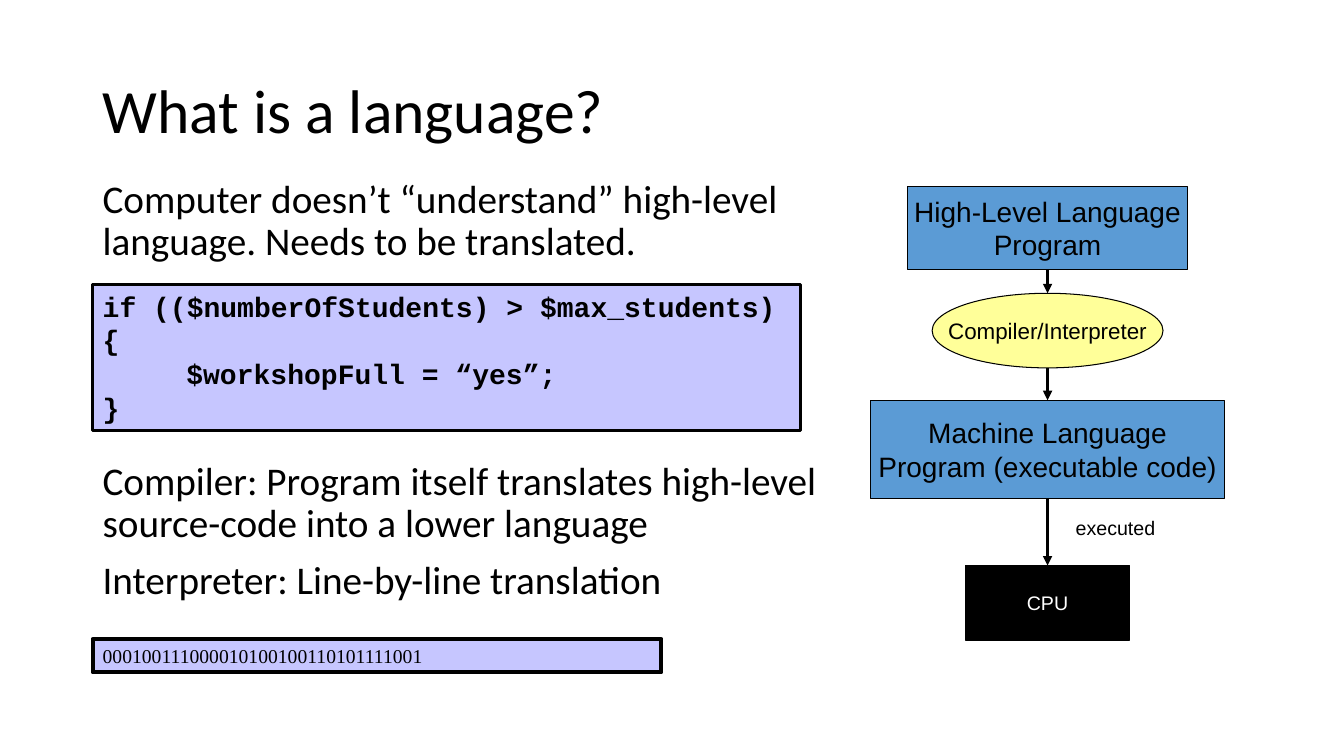
from dataclasses import dataclass

from lxml import etree
from pptx import Presentation
from pptx.dml.color import RGBColor
from pptx.enum.shapes import MSO_CONNECTOR, MSO_SHAPE
from pptx.enum.text import MSO_ANCHOR, MSO_AUTO_SIZE, PP_ALIGN
from pptx.oxml.ns import qn
from pptx.util import Inches, Pt

RECTANGLE, OVAL = MSO_SHAPE.RECTANGLE, MSO_SHAPE.OVAL
STRAIGHT = MSO_CONNECTOR.STRAIGHT
LEFT, CENTER = PP_ALIGN.LEFT, PP_ALIGN.CENTER
TOP, MIDDLE = MSO_ANCHOR.TOP, MSO_ANCHOR.MIDDLE
NO_AUTOFIT = MSO_AUTO_SIZE.NONE
TITLE_ONLY = 5
MARGIN = 0.92
FLOW_CENTER = 10.39


@dataclass(frozen=True)
class Theme:
    """Colours, fonts and type sizes of the slide."""
    black: str = "000000"
    white: str = "FFFFFF"
    blue: str = "5B9BD5"
    yellow: str = "FFFF99"
    lilac: str = "C6C6FF"
    body_font: str = "Calibri"
    flow_font: str = "Arial"
    code_font: str = "Courier New"
    binary_font: str = "Times New Roman"
    title_size: int = 44
    body_size: int = 28
    large_size: int = 20
    medium_size: int = 16
    small_size: int = 14


THEME = Theme()


def write_text(shape, lines, *, font, size, color=THEME.black, bold=False,
               align=LEFT, anchor=TOP, wrap=True, spacing=1.0, before=0, indents=()):
    """Fill a shape with formatted paragraphs, indented by line number in inches."""
    frame = shape.text_frame
    frame.text = "\n".join(lines)
    frame.auto_size = NO_AUTOFIT
    frame.word_wrap = wrap
    frame.vertical_anchor = anchor
    for paragraph in frame.paragraphs:
        paragraph.alignment = align
        paragraph.line_spacing = spacing
        paragraph.space_before = Pt(before)
        for run in paragraph.runs:
            run.font.name = font
            run.font.size = Pt(size)
            run.font.bold = bold
            run.font.color.rgb = RGBColor.from_string(color)
    for line, indent in indents:
        properties = frame.paragraphs[line]._p.get_or_add_pPr()
        properties.set("marL", str(Inches(indent)))


def add_title(slide, text):
    """Place and format the title placeholder."""
    title = slide.shapes.title
    title.left, title.top = Inches(MARGIN), Inches(0.4)
    title.width, title.height = Inches(11.5), Inches(1.45)
    write_text(title, [text], font=THEME.body_font, size=THEME.title_size,
               anchor=MIDDLE, spacing=0.9)


def add_text(slide, left, top, width, height, lines, **text_format):
    """Add a text box."""
    box = slide.shapes.add_textbox(Inches(left), Inches(top), Inches(width), Inches(height))
    write_text(box, lines, **text_format)


def add_box(slide, kind, left, top, width, height, fill, line_width, lines, **text_format):
    """Add a filled and outlined shape with text."""
    shape = slide.shapes.add_shape(
        kind, Inches(left), Inches(top), Inches(width), Inches(height))
    shape.shadow.inherit = False
    shape.fill.solid()
    shape.fill.fore_color.rgb = RGBColor.from_string(fill)
    shape.line.color.rgb = RGBColor.from_string(THEME.black)
    shape.line.width = Pt(line_width)
    write_text(shape, lines, **text_format)


def add_arrow(slide, top, bottom):
    """Add a downward arrow on the axis of the flow."""
    center = Inches(FLOW_CENTER)
    arrow = slide.shapes.add_connector(STRAIGHT, center, Inches(top), center, Inches(bottom))
    arrow.line.color.rgb = RGBColor.from_string(THEME.black)
    arrow.line.width = Pt(2.25)
    etree.SubElement(arrow.line._get_or_add_ln(), qn("a:tailEnd"), type="triangle")
    etree.SubElement(arrow._element.spPr, qn("a:effectLst"))


def add_explanation(slide):
    """Add the running text with the code and binary samples."""
    body = dict(font=THEME.body_font, size=THEME.body_size, spacing=0.9)
    add_text(slide, MARGIN, 1.73, 7.4, 0.96,
             ["Computer doesn’t “understand” high-level language. Needs to be translated."],
             **body)
    add_text(slide, MARGIN, 4.53, 7.4, 1.55,
             ["Compiler: Program itself translates high-level source-code into a lower language",
              "Interpreter: Line-by-line translation"], before=10, **body)
    add_box(slide, RECTANGLE, MARGIN, 2.82, 7.02, 1.45, THEME.lilac, 2.25,
            ["if (($numberOfStudents) > $max_students) {", "$workshopFull = “yes”;", "}"],
            font=THEME.code_font, size=THEME.large_size, bold=True, indents=[(1, 0.83)])
    add_box(slide, RECTANGLE, MARGIN, 6.34, 5.64, 0.33, THEME.lilac, 3,
            ["000100111000010100100110101111001"],
            font=THEME.binary_font, size=THEME.small_size)


def add_flow(slide):
    """Add the translation steps, joined by arrows."""
    steps = [
        (RECTANGLE, 1.85, 2.78, 0.82, THEME.blue, THEME.black, THEME.large_size,
         ["High-Level Language", "Program"]),
        (OVAL, 2.91, 2.29, 0.74, THEME.yellow, THEME.black, THEME.medium_size,
         ["Compiler/Interpreter"]),
        (RECTANGLE, 3.97, 3.51, 0.98, THEME.blue, THEME.black, THEME.large_size,
         ["Machine Language", "Program (executable code)"]),
        (RECTANGLE, 5.61, 1.63, 0.74, THEME.black, THEME.white, THEME.small_size, ["CPU"]),
    ]
    for kind, top, width, height, fill, color, size, lines in steps:
        add_box(slide, kind, FLOW_CENTER - width / 2, top, width, height, fill, 0.75, lines,
                font=THEME.flow_font, size=size, color=color, align=CENTER,
                anchor=MIDDLE, wrap=False)
    for upper, lower in zip(steps, steps[1:]):
        add_arrow(slide, upper[1] + upper[3], lower[1])
    add_text(slide, 10.57, 5.07, 1.57, 0.33, ["executed"],
             font=THEME.flow_font, size=THEME.small_size)


def main():
    """Build and save the slide."""
    presentation = Presentation()
    presentation.slide_width, presentation.slide_height = Inches(13.33), Inches(7.5)
    slide = presentation.slides.add_slide(presentation.slide_layouts[TITLE_ONLY])
    add_title(slide, "What is a language?")
    add_explanation(slide)
    add_flow(slide)
    presentation.save("out.pptx")


if __name__ == "__main__":
    main()
